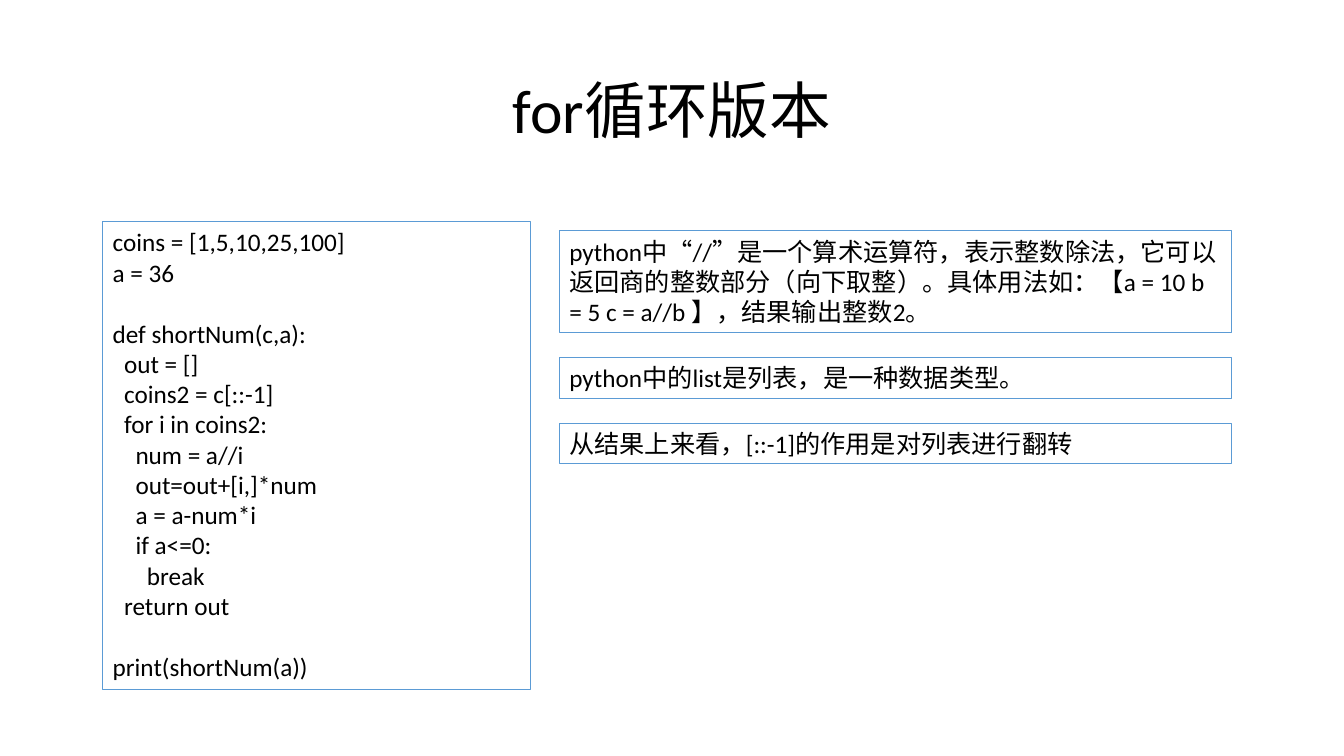
import pptx
import pptx.util
import pptx.dml.color
import pptx.enum.text

deck = pptx.Presentation()
deck.slide_width = pptx.util.Inches(13.33)
deck.slide_height = pptx.util.Inches(7.5)
slide = deck.slides.add_slide(deck.slide_layouts[6])
col = deck.slide_width / 40
row = deck.slide_height / 30


def color(code):
    return pptx.dml.color.RGBColor.from_string(code)


def add_text(left, top, width, height, lines, size=18, edge="5B9BD5"):
    box = slide.shapes.add_textbox(
        int(left * col), int(top * row), int(width * col), int(height * row))
    frame = box.text_frame
    frame.text = "\n".join(lines)
    frame.word_wrap = True
    if edge:
        frame.auto_size = pptx.enum.text.MSO_AUTO_SIZE.SHAPE_TO_FIT_TEXT
        box.line.color.rgb = color(edge)
        box.line.width = pptx.util.Pt(0.75)
    for para in frame.paragraphs:
        for run in para.runs:
            run.font.size = pptx.util.Pt(size)
            run.font.name = "Calibri"
            run.font.color.rgb = color("000000")
    return frame


title = add_text(2.75, 1.6, 34.5, 5.8, ["for循环版本"], 44, None)
title.vertical_anchor = pptx.enum.text.MSO_ANCHOR.MIDDLE
title.paragraphs[0].alignment = pptx.enum.text.PP_ALIGN.CENTER
title.paragraphs[0].line_spacing = 0.9

code = [
    (0, "coins = [1,5,10,25,100]"),
    (0, "a = 36"),
    (0, "def shortNum(c,a):"),
    (1, "out = []"),
    (1, "coins2 = c[::-1]"),
    (1, "for i in coins2:"),
    (2, "num = a//i"),
    (2, "out=out+[i,]*num"),
    (2, "a = a-num*i"),
    (2, "if a<=0:"),
    (3, "break"),
    (1, "return out"),
    (0, "print(shortNum(a))"),
]
block = add_text(3.06, 8.8, 12.72, 18.56, [line for depth, line in code])
for para, (depth, line) in zip(block.paragraphs, code):
    para._p.get_or_add_pPr().set("marL", str(int(depth * pptx.util.Pt(8.14))))
    if line.startswith(("def", "print")):
        para.space_before = pptx.util.Pt(22)

notes = [
    (4.04, "python中“//”是一个算术运算符，表示整数除法，它可以返回商的整数部分"
           "（向下取整）。具体用法如：【a = 10 b = 5 c = a//b 】，结果输出整数2。"),
    (1.6, "python中的list是列表，是一种数据类型。"),
    (1.6, "从结果上来看，[::-1]的作用是对列表进行翻转"),
]
top = 9.16
for height, note in notes:
    add_text(16.65, top, 20, height, [note])
    top += height + 1

deck.save("out.pptx")
